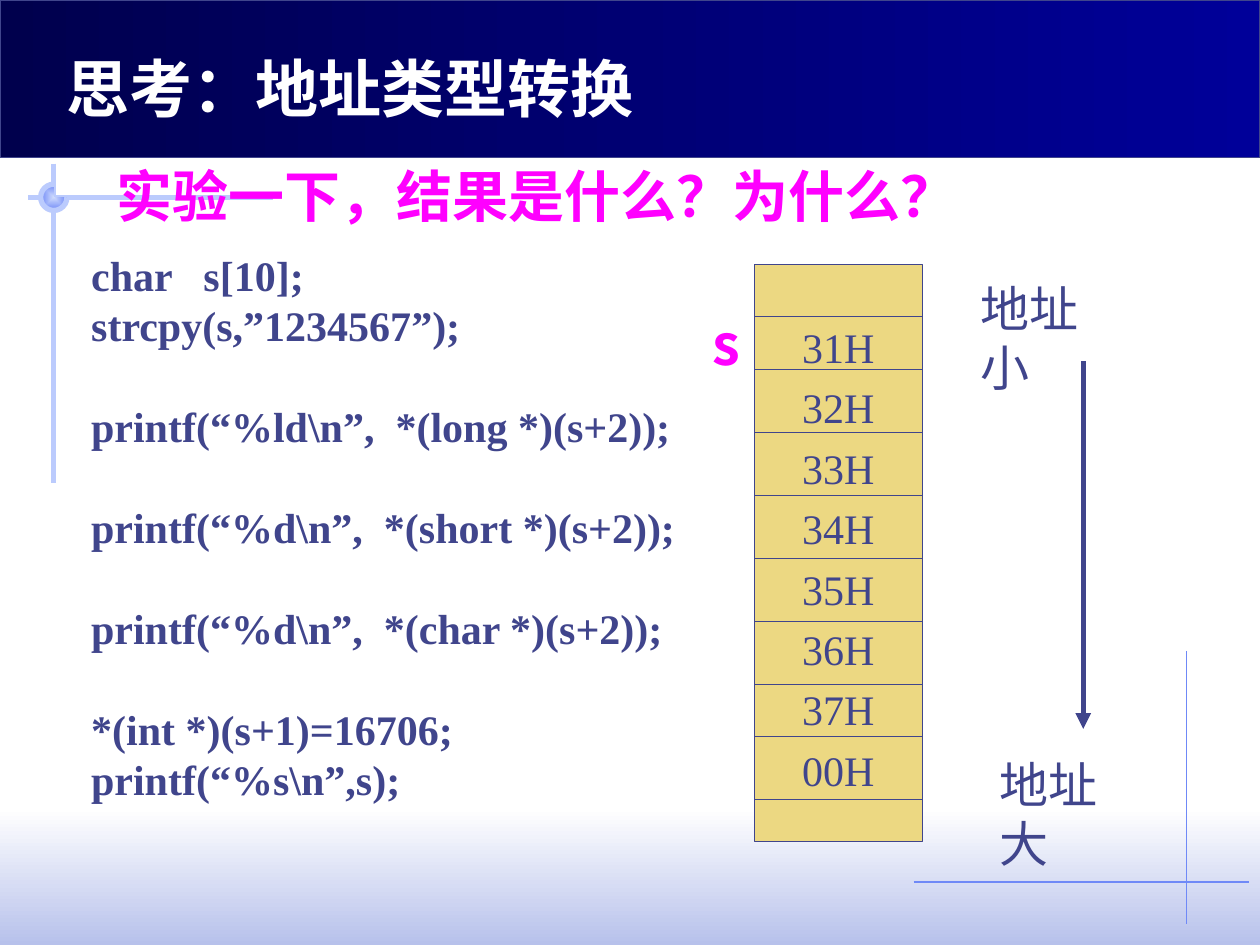
from dataclasses import dataclass

from lxml import etree
from pptx import Presentation
from pptx.dml.color import RGBColor
from pptx.enum import shapes, text
from pptx.oxml import ns
from pptx.util import Pt


@dataclass(frozen=True)
class Theme:
    """Colours, typefaces and type sizes of the slide."""
    ink: str = "40458C"
    white: str = "FFFFFF"
    accent: str = "FF00FF"
    memory: str = "ECD882"
    thin_rule: str = "6F89F7"
    thick_rule: str = "BBCBFD"
    hub: tuple = ("CFDBFD", "6F89F7")
    banner: tuple = ("00004D", "000099")
    footer: tuple = ("FFFFFF", "B7C1EB")
    serif: str = "Times New Roman"
    sans: str = "Noto Sans CJK JP"
    title: int = 36
    question: int = 32
    label: int = 28
    body: int = 24


THEME = Theme()
SHAPE = shapes.MSO_SHAPE
CODE_PITCH = 28.8
MEMORY_PITCH = 34.56
CODE = [
    ["char   s[10];", "strcpy(s,”1234567”);"],
    ["printf(“%ld\\n”,  *(long *)(s+2));"],
    ["printf(“%d\\n”,  *(short *)(s+2));"],
    ["printf(“%d\\n”,  *(char *)(s+2));"],
    ["*(int *)(s+1)=16706;", "printf(“%s\\n”,s);"],
]
BYTES = ["31H", "32H", "33H", "34H", "35H", "36H", "37H", "00H"]
ROW_HEIGHTS = [30, 30, 36, 36, 36, 36, 36, 30, 36]


def color(value):
    """Return a colour from its hexadecimal value."""
    return RGBColor.from_string(value)


def add_child(parent, tag, **attributes):
    """Append a drawing element to a parent element."""
    return etree.SubElement(parent, ns.qn(tag), attributes)


def style_text(frame, size, ink, bold=False, font=THEME.serif):
    """Format every run in a text frame."""
    for paragraph in frame.paragraphs:
        for run in paragraph.runs:
            run.font.size = Pt(size)
            run.font.bold = bold
            run.font.color.rgb = color(ink)
            run.font.name = font
            add_child(run.font._element, "a:ea", typeface=THEME.sans)


def add_text(slide, box, words, size, ink, **style):
    """Place a text box and return its frame."""
    frame = slide.shapes.add_textbox(*map(Pt, box)).text_frame
    frame.word_wrap = False
    frame.text = words
    style_text(frame, size, ink, **style)
    return frame


def add_block(slide, kind, box, line=None, weight=0.75):
    """Place a shape without shadow and with an optional outline."""
    shape = slide.shapes.add_shape(kind, *map(Pt, box))
    shape.shadow.inherit = False
    if line:
        shape.line.color.rgb = color(line)
        shape.line.width = Pt(weight)
    else:
        shape.line.fill.background()
    return shape


def fill_gradient(shape, stops, angle):
    """Fill a shape with a two-colour gradient."""
    shape.fill.gradient()
    shape.fill.gradient_angle = angle
    for stop, value, position in zip(shape.fill.gradient_stops, stops, (0, 1)):
        stop.color.rgb = color(value)
        stop.position = position


def add_line(slide, start, end, ink, weight=0.75, arrow=False):
    """Draw a straight line, with an arrowhead at its end if asked."""
    connector = slide.shapes.add_connector(
        shapes.MSO_CONNECTOR.STRAIGHT, *map(Pt, (*start, *end)))
    connector.line.color.rgb = color(ink)
    connector.line.width = Pt(weight)
    if arrow:
        add_child(connector.line._get_or_add_ln(), "a:tailEnd", type="triangle")
    add_child(connector._element.spPr, "a:effectLst")


def add_hub(slide, box):
    """Draw the three-quarter disc and its ring."""
    disc = add_block(slide, SHAPE.PIE, box)
    fill_gradient(disc, THEME.hub, 0)
    gradient = disc._element.spPr.find(ns.qn("a:gradFill"))
    gradient.remove(gradient.find(ns.qn("a:lin")))
    centre = add_child(gradient, "a:path", path="rect")
    add_child(centre, "a:fillToRect", l="50000", t="50000", r="50000", b="50000")
    ring = add_block(slide, SHAPE.ARC, box, THEME.thick_rule, 3)
    ring.fill.background()
    ring.adjustments[0] = 0
    ring.adjustments[1] = 162


def add_backdrop(slide, box):
    """Draw the footer glow, the banner and the corner rules."""
    left, top, width, height = box
    glow = add_block(slide, SHAPE.RECTANGLE, (left, top + height - 78, width, 78))
    fill_gradient(glow, THEME.footer, 270)
    add_line(slide, (678, 372), (678, 528), THEME.thin_rule)
    add_line(slide, (156, 113), (16, 113), THEME.thick_rule, 3)
    add_line(slide, (30.75, 93.5), (30.75, 276), THEME.thick_rule, 3)
    add_hub(slide, (23.25, 105.25, 15, 15))
    banner = add_block(slide, SHAPE.RECTANGLE, (left, top, width, 90), THEME.ink)
    fill_gradient(banner, THEME.banner, 0)
    add_line(slide, (522, 504), (714, 504), THEME.thin_rule)


def add_code(slide, box):
    """Write the code listing, one line of space between its groups."""
    lines = [line for group in CODE for line in group]
    frame = add_text(slide, box, "\n".join(lines), THEME.body, THEME.ink, bold=True)
    frame.vertical_anchor = text.MSO_ANCHOR.MIDDLE
    paragraphs = iter(frame.paragraphs)
    for group_index, group in enumerate(CODE):
        for line_index in range(len(group)):
            paragraph = next(paragraphs)
            paragraph.line_spacing = Pt(CODE_PITCH)
            if group_index and not line_index:
                paragraph.space_before = Pt(CODE_PITCH)


def add_memory(slide, box):
    """Draw the memory column with its bytes and row rules."""
    left, top, width, _ = box
    column = add_block(slide, SHAPE.RECTANGLE, box, THEME.ink)
    column.fill.solid()
    column.fill.fore_color.rgb = color(THEME.memory)
    frame = column.text_frame
    frame.word_wrap = False
    frame.vertical_anchor = text.MSO_ANCHOR.MIDDLE
    frame.text = "\n".join(BYTES)
    for paragraph in frame.paragraphs:
        paragraph.alignment = text.PP_ALIGN.CENTER
        paragraph.line_spacing = Pt(MEMORY_PITCH)
    style_text(frame, THEME.body, THEME.ink)
    row = top
    for height in ROW_HEIGHTS:
        row += height
        add_line(slide, (left, row), (left + width, row), THEME.ink)
    add_text(slide, (left - 31, top + 22.5, 30, 46), "s", THEME.question,
             THEME.accent, bold=True, font=THEME.sans)


def add_address_scale(slide, box):
    """Label the low and high addresses and join them with an arrow."""
    left, top, width, height = box
    ends = [("地址\t小", left, top), ("地址\t大", left + 11, top + height - 41)]
    for words, x, y in ends:
        frame = add_text(slide, (x, y, width, 41), words, THEME.label, THEME.ink)
        properties = frame.paragraphs[0]._p.get_or_add_pPr()
        tabs = add_child(properties, "a:tabLst")
        add_child(tabs, "a:tab", pos=str(Pt(81)), algn="l")
    add_line(slide, (left + 66, top + 51), (left + 66, top + height - 52),
             THEME.ink, 3, arrow=True)


def main():
    """Build and save the slide."""
    presentation = Presentation()
    presentation.slide_width, presentation.slide_height = Pt(720), Pt(540)
    slide = presentation.slides.add_slide(presentation.slide_layouts[6])
    add_backdrop(slide, (0, 0, 720, 540))
    add_text(slide, (31, 25, 528, 50), "思考：地址类型转换", THEME.title,
             THEME.white, bold=True)
    add_memory(slide, (431, 151, 96, 330))
    add_address_scale(slide, (553, 155.5, 123, 313))
    add_code(slide, (45, 139, 348, 324))
    add_text(slide, (59.5, 88.5, 495, 46), "实验一下，结果是什么？为什么？",
             THEME.question, THEME.accent, bold=True, font=THEME.sans)
    presentation.save("out.pptx")


if __name__ == "__main__":
    main()
